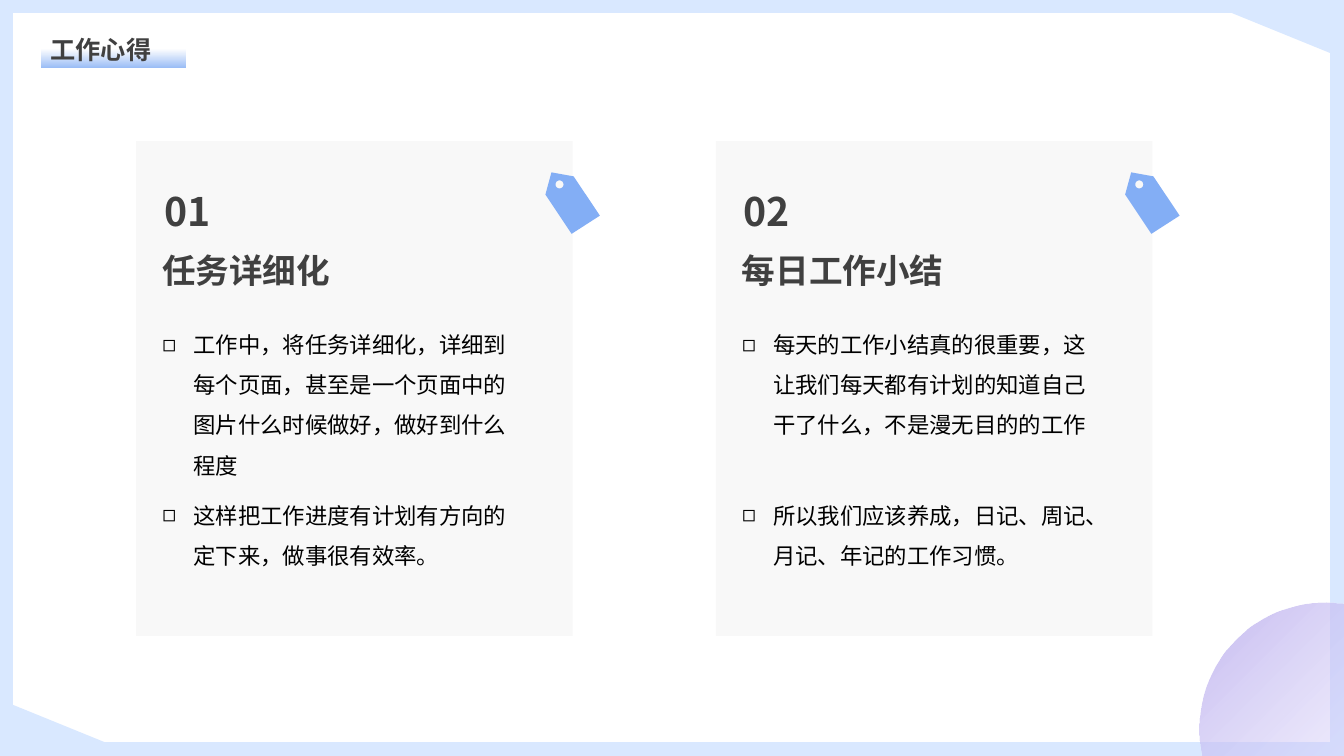
from dataclasses import dataclass
from math import cos, pi, sin

from lxml.etree import SubElement
from pptx import Presentation
from pptx.dml.color import RGBColor
from pptx.enum.shapes import MSO_SHAPE as Preset
from pptx.enum.text import MSO_ANCHOR as Anchor, MSO_AUTO_SIZE as AutoSize, PP_ALIGN as Align
from pptx.oxml import parse_xml
from pptx.oxml.ns import nsdecls, qn
from pptx.shapes.autoshape import Shape
from pptx.slide import Slide
from pptx.text.text import TextFrame
from pptx.util import Pt

PX = 9144  # 100 px to the inch
FONT = "Noto Sans CJK SC"
FRAME_BLUE = RGBColor(0xD9, 0xE8, 0xFF)
TAG_BLUE = RGBColor(0x83, 0xAE, 0xF5)
LILAC = RGBColor(0xC1, 0xB5, 0xEF)
PALE_LILAC = RGBColor(0xDC, 0xD7, 0xFF)
CARD_GREY = RGBColor(0xBF, 0xBF, 0xBF)
DARK = RGBColor(0x40, 0x40, 0x40)
BLACK = RGBColor(0, 0, 0)
WHITE = RGBColor(0xFF, 0xFF, 0xFF)


@dataclass(frozen=True)
class Box:
    left: int
    top: int
    width: int
    height: int

    def emu(self) -> tuple[int, int, int, int]:
        return self.left * PX, self.top * PX, self.width * PX, self.height * PX


@dataclass(frozen=True)
class Stop:
    place: int
    color: RGBColor
    alpha: int


@dataclass(frozen=True)
class Card:
    number: str
    heading: str
    points: tuple[str, str]
    gap: float  # points between the two list items


CARDS = (
    Card("01", "任务详细化",
         ("工作中，将任务详细化，详细到每个页面，甚至是一个页面中的图片什么时候做好，做好到什么程度",
          "这样把工作进度有计划有方向的定下来，做事很有效率。"), 7),
    Card("02", "每日工作小结",
         ("每天的工作小结真的很重要，这让我们每天都有计划的知道自己干了什么，不是漫无目的的工作",
          "所以我们应该养成，日记、周记、月记、年记的工作习惯。"), 35.7),
)
CARD_LEFT, CARD_STEP = 135, 575
TAG_OUTLINE = ((412, 31), (434, 35), (460, 74), (432, 92), (406, 53))
TAG_HOLE = (420, 43, 4)  # centre x, centre y, radius


def add_preset(page: Slide, preset: Preset, box: Box, color: RGBColor) -> Shape:
    shape = page.shapes.add_shape(preset, *box.emu())
    paint(shape, color)
    return shape


def paint(shape: Shape, color: RGBColor) -> None:
    shape.shadow.inherit = False
    shape.fill.solid()
    shape.fill.fore_color.rgb = color
    shape.line.fill.background()


def set_gradient(shape: Shape, stops: tuple[Stop, ...], direction: str) -> None:
    stop_xml = "".join(
        f'<a:gs pos="{stop.place * 1000}"><a:srgbClr val="{stop.color}">'
        f'<a:alpha val="{stop.alpha * 1000}"/></a:srgbClr></a:gs>' for stop in stops)
    gradient = parse_xml(f'<a:gradFill {nsdecls("a")} rotWithShape="1">'
                         f'<a:gsLst>{stop_xml}</a:gsLst>{direction}</a:gradFill>')
    solid = shape._element.spPr.find(qn("a:solidFill"))
    solid.getparent().replace(solid, gradient)


def add_span(para, text: str, size: float, color: RGBColor, bold: bool) -> None:
    span = para.add_run()
    span.text = text
    font = span.font
    font.size, font.bold, font.name = Pt(size), bold, FONT
    font.color.rgb = color
    SubElement(span._r.get_or_add_rPr(), qn("a:ea")).set("typeface", FONT)


def prepare_frame(shape: Shape, box: Box, anchor: Anchor) -> TextFrame:
    shape.left, shape.top, shape.width, shape.height = box.emu()
    frame = shape.text_frame
    frame.word_wrap = True
    frame.auto_size = AutoSize.NONE
    frame.vertical_anchor = anchor
    return frame


def add_label(page: Slide, box: Box, text: str, size: float) -> None:
    frame = prepare_frame(page.shapes.add_textbox(*box.emu()), box, Anchor.MIDDLE)
    add_span(frame.paragraphs[0], text, size, DARK, True)


def fill_list(body: Shape, box: Box, card: Card) -> None:
    frame = prepare_frame(body, box, Anchor.TOP)
    for index, point in enumerate(card.points):
        para = frame.add_paragraph() if index else frame.paragraphs[0]
        para.line_spacing = 1.5
        para.space_before = Pt(card.gap if index else 0)
        properties = para._p.get_or_add_pPr()
        properties.set("marL", str(31 * PX))
        properties.set("indent", str(-31 * PX))
        SubElement(properties, qn("a:buChar")).set("char", "◻")
        add_span(para, point, 16, BLACK, False)


def add_tag(page: Slide, left: int, top: int) -> None:
    corners = [((left + x) * PX, (top + y) * PX) for x, y in TAG_OUTLINE]
    builder = page.shapes.build_freeform(*corners[0], scale=1.0)
    builder.add_line_segments(corners[1:], close=True)
    x, y, radius = TAG_HOLE
    rim = [((left + x + radius * cos(step * pi / 12)) * PX,
            (top + y + radius * sin(step * pi / 12)) * PX) for step in range(24)]
    builder.move_to(*rim[0])
    builder.add_line_segments(rim[1:], close=True)
    paint(builder.convert_to_shape(), TAG_BLUE)


def add_card(page: Slide, card: Card, left: int, body: Shape) -> None:
    top = 140
    panel = add_preset(page, Preset.RECTANGLE, Box(left, top, 433, 491), CARD_GREY)
    color = panel._element.spPr.find(qn("a:solidFill"))[0]
    SubElement(color, qn("a:alpha")).set("val", "10000")
    add_tag(page, left, top)
    add_label(page, Box(left + 18, top + 41, 256, 57), card.number, 28)
    add_label(page, Box(left + 16, top + 103, 256, 50), card.heading, 24)
    page.shapes._spTree.append(body._element)
    fill_list(body, Box(left + 16, top + 170, 379, 255), card)


def add_backdrop(page: Slide) -> None:
    add_preset(page, Preset.RECTANGLE, Box(0, 0, 1333, 750), FRAME_BLUE)
    add_preset(page, Preset.RECTANGLE, Box(13, 13, 1306, 723), WHITE)
    underline = add_preset(page, Preset.RECTANGLE, Box(41, 49, 143, 18), TAG_BLUE)
    set_gradient(underline, (Stop(0, TAG_BLUE, 84), Stop(100, TAG_BLUE, 0)),
                 '<a:lin ang="16200000" scaled="0"/>')
    circle = add_preset(page, Preset.OVAL, Box(1190, 598, 251, 251), LILAC)
    circle.rotation = 270
    set_gradient(circle, (Stop(0, PALE_LILAC, 0), Stop(100, LILAC, 91)),
                 '<a:path path="circle"><a:fillToRect l="100000" t="100000"/></a:path>')
    add_preset(page, Preset.RIGHT_TRIANGLE, Box(0, 694, 145, 59), FRAME_BLUE)
    corner = add_preset(page, Preset.RIGHT_TRIANGLE, Box(1190, 0, 145, 59), FRAME_BLUE)
    corner.rotation = 180


def main() -> None:
    deck = Presentation()
    deck.slide_width, deck.slide_height = 1333 * PX, 750 * PX
    page = deck.slides.add_slide(deck.slide_layouts[3])
    title, *bodies = page.placeholders

    # Frame, corners and title
    add_backdrop(page)
    page.shapes._spTree.append(title._element)
    heading = prepare_frame(title, Box(40, 29, 145, 40), Anchor.TOP).paragraphs[0]
    heading.alignment = Align.JUSTIFY
    add_span(heading, "工作心得", 18, DARK, True)

    # Two cards
    for index, (card, body) in enumerate(zip(CARDS, bodies)):
        add_card(page, card, CARD_LEFT + index * CARD_STEP, body)

    deck.save("out.pptx")


if __name__ == "__main__":
    main()
